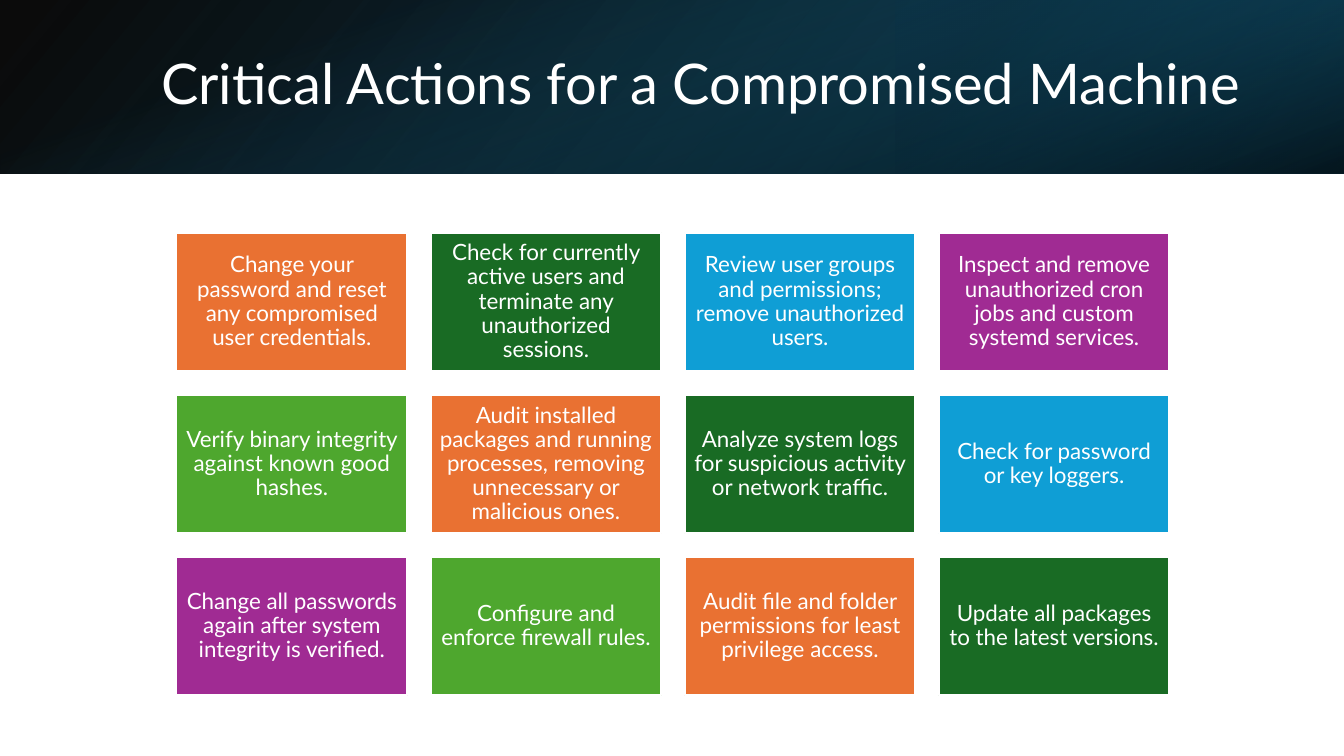
from dataclasses import dataclass

from lxml import etree
from pptx import Presentation
from pptx.dml.color import RGBColor
from pptx.enum.shapes import MSO_SHAPE
from pptx.enum.text import MSO_ANCHOR, PP_ALIGN
from pptx.oxml.ns import qn
from pptx.util import Inches, Pt

RECT = MSO_SHAPE.RECTANGLE
MIDDLE = MSO_ANCHOR.MIDDLE
LEFT = PP_ALIGN.LEFT
CENTER = PP_ALIGN.CENTER


@dataclass(frozen=True)
class Theme:
    font: str = "Lato"
    white: str = "FFFFFF"
    black: str = "000000"
    navy: str = "104862"
    deep: str = "0B3041"
    teal: str = "156082"
    tiles: tuple = ("E97132", "196B24", "0F9ED5", "A02B93", "4EA72E")
    title: int = 40
    body: int = 16
    border: float = 1.5


THEME = Theme()

WIDE, HIGH = 13.33, 7.5
BAND = 1.72
COLS = 4
TILE_W, TILE_H = 2.29, 1.37
GAP_X, GAP_Y = 0.23, 0.24
GRID_X, GRID_Y = 1.75, 2.31

ACTIONS = (
    "Change your password and reset any compromised user credentials.",
    "Check for currently active users and terminate any unauthorized sessions.",
    "Review user groups and permissions; remove unauthorized users.",
    "Inspect and remove unauthorized cron jobs and custom systemd services.",
    "Verify binary integrity against known good hashes.",
    "Audit installed packages and running processes, removing unnecessary or malicious ones.",
    "Analyze system logs for suspicious activity or network traffic.",
    "Check for password or key loggers.",
    "Change all passwords again after system integrity is verified.",
    "Configure and enforce firewall rules.",
    "Audit file and folder permissions for least privilege access.",
    "Update all packages to the latest versions.",
)


def add_rect(slide, box):
    shape = slide.shapes.add_shape(RECT, *map(Inches, box))
    shape.shadow.inherit = False
    return shape


def add_fade(slide, box, stops, angle, turn=0, flip=False):
    shape = add_rect(slide, box)
    shape.line.fill.background()
    shape.rotation = turn
    props = shape.element.spPr
    if flip:
        props.xfrm.set("flipH", "1")
    shape.fill.gradient()
    shape.fill.gradient_angle = 360 - angle
    for stop, (place, color, _) in zip(shape.fill.gradient_stops, stops):
        stop.position = place / 100
        stop.color.rgb = RGBColor.from_string(color)
    for node, (_, _, solid) in zip(props.iter(qn("a:srgbClr")), stops):
        etree.SubElement(node, qn("a:alpha")).set("val", str(solid * 1000))


def write(shape, text, size, align, inset=None):
    frame = shape.text_frame
    frame.word_wrap = True
    frame.vertical_anchor = MIDDLE
    if inset is not None:
        frame.margin_left = frame.margin_right = Inches(inset)
        frame.margin_top = frame.margin_bottom = Inches(inset)
    para = frame.paragraphs[0]
    para.alignment = align
    para.line_spacing = 0.9
    run = para.add_run()
    run.text = text
    run.font.name = THEME.font
    run.font.size = Pt(size)
    run.font.color.rgb = RGBColor.from_string(THEME.white)


def add_band(slide):
    add_fade(slide, (0, 0, WIDE, BAND),
             ((0, THEME.black, 96), (100, THEME.navy, 100)), 140, flip=True)
    add_fade(slide, (WIDE * 2 / 3, 0, WIDE / 3, BAND),
             ((19, THEME.deep, 68), (100, THEME.teal, 79)), 320, turn=180, flip=True)
    add_fade(slide, ((WIDE - BAND) / 2, (BAND - WIDE) / 2, BAND, WIDE),
             ((23, THEME.teal, 0), (99, THEME.black, 74)), 340, turn=90)


def add_title(slide, text):
    box = slide.shapes.add_textbox(*map(Inches, (1.5, 0.38, 10.98, 0.96)))
    write(box, text, THEME.title, LEFT)


def add_tile(slide, index, text):
    row, col = divmod(index, COLS)
    left = GRID_X + col * (TILE_W + GAP_X)
    top = GRID_Y + row * (TILE_H + GAP_Y)
    tile = add_rect(slide, (left, top, TILE_W, TILE_H))
    color = THEME.tiles[index % len(THEME.tiles)]
    tile.fill.solid()
    tile.fill.fore_color.rgb = RGBColor.from_string(color)
    tile.line.color.rgb = RGBColor.from_string(THEME.white)
    tile.line.width = Pt(THEME.border)
    write(tile, text, THEME.body, CENTER, 0.07)


def main():
    deck = Presentation()
    deck.slide_width = Inches(WIDE)
    deck.slide_height = Inches(HIGH)
    slide = deck.slides.add_slide(deck.slide_layouts[6])
    add_band(slide)
    add_title(slide, "Critical Actions for a Compromised Machine")
    for index, text in enumerate(ACTIONS):
        add_tile(slide, index, text)
    deck.save("out.pptx")


if __name__ == "__main__":
    main()
